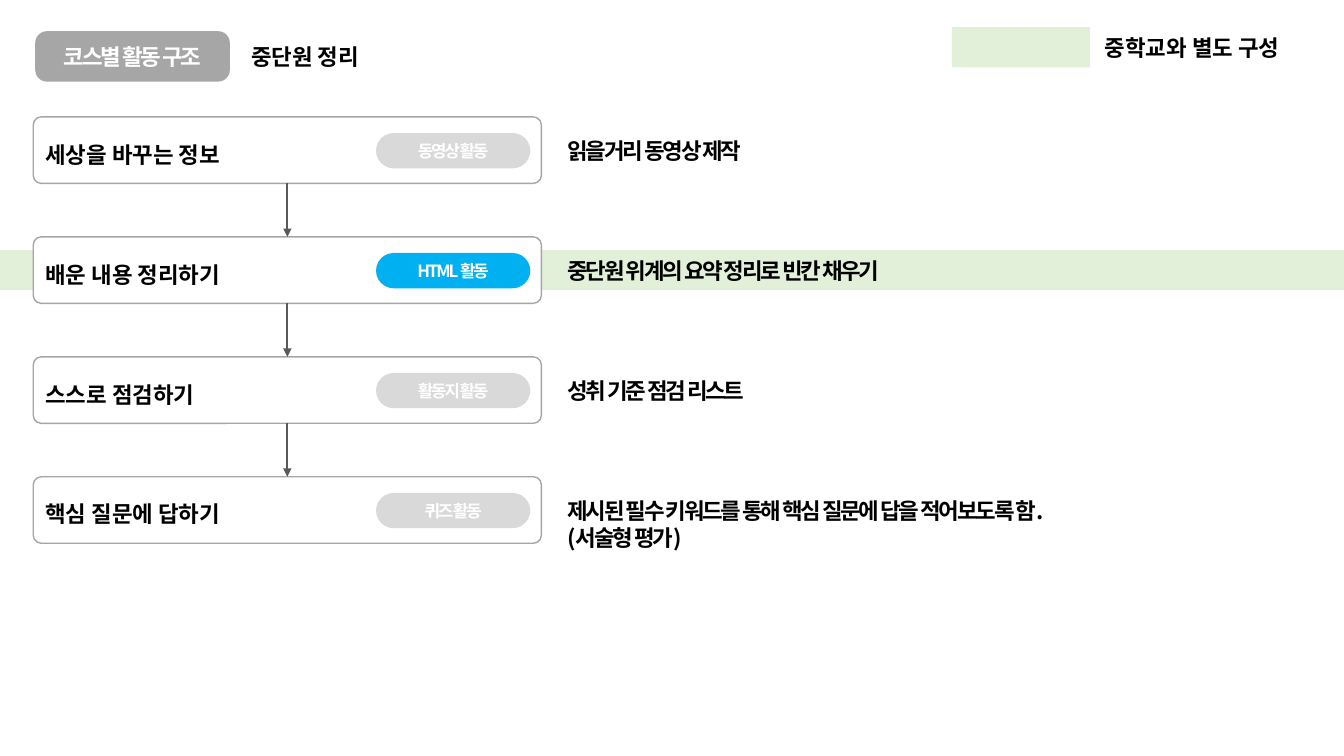
from lxml.etree import SubElement
from pptx import Presentation
from pptx.dml.color import RGBColor
from pptx.enum.shapes import MSO_CONNECTOR, MSO_SHAPE
from pptx.enum.text import MSO_ANCHOR, MSO_AUTO_SIZE, PP_ALIGN
from pptx.oxml.ns import qn
from pptx.util import Inches, Pt

FONT = "Noto Sans CJK KR"
BLACK, WHITE, GRAY = "000000", "FFFFFF", "A6A6A6"
PALE_GRAY, DARK_GRAY, GREEN, BLUE = "D9D9D9", "595959", "E2F0D9", "00B0F0"
ROW_PITCH, BOX_HEIGHT = 1.19, 0.66
STEPS = [
    ("세상을 바꾸는 정보", "동영상 활동", "읽을거리 동영상 제작", False),
    ("배운 내용 정리하기", "HTML 활동", "중단원 위계의 요약 정리로 빈칸 채우기", True),
    ("스스로 점검하기", "활동지 활동", "성취 기준 점검 리스트", False),
    ("핵심 질문에 답하기", "퀴즈 활동",
     "제시된 필수 키워드를 통해 핵심 질문에 답을 적어보도록 함.\n(서술형 평가)", False),
]


def color(hex_string):
    """Return the colour for a hex string."""
    return RGBColor.from_string(hex_string)


def write(shape, text, size=16, fill=BLACK, align=PP_ALIGN.LEFT,
          anchor=MSO_ANCHOR.TOP, tracking=0, line_spacing=1.0):
    """Write bold text into a shape, one paragraph per line."""
    frame = shape.text_frame
    frame.word_wrap = True
    frame.auto_size = MSO_AUTO_SIZE.NONE
    frame.vertical_anchor = anchor
    frame.text = text
    for paragraph in frame.paragraphs:
        paragraph.alignment = align
        paragraph.line_spacing = line_spacing
        for run in paragraph.runs:
            run.font.size = Pt(size)
            run.font.bold = True
            run.font.name = FONT
            run.font.color.rgb = color(fill)
            properties = run._r.get_or_add_rPr()
            properties.set("spc", str(int(tracking * 100)))
            SubElement(properties, qn("a:ea"), typeface=FONT)


def add_box(slide, kind, box, fill=None, line=None, radius=None):
    """Add a flat preset shape in the given box."""
    shape = slide.shapes.add_shape(kind, *map(Inches, box))
    shape.shadow.inherit = False
    if radius is not None:
        shape.adjustments[0] = radius
    if fill:
        shape.fill.solid()
        shape.fill.fore_color.rgb = color(fill)
    else:
        shape.fill.background()
    if line:
        shape.line.color.rgb = color(line)
        shape.line.width = Pt(1)
    else:
        shape.line.fill.background()
    return shape


def add_label(slide, box, text, **formatting):
    """Add a text box in the given box."""
    write(slide.shapes.add_textbox(*map(Inches, box)), text, **formatting)


def add_badge(slide, box, text, fill, radius, size):
    """Add a filled rounded badge with white centred text."""
    badge = add_box(slide, MSO_SHAPE.ROUNDED_RECTANGLE, box, fill, radius=radius)
    write(badge, text, size=size, fill=WHITE, align=PP_ALIGN.CENTER,
          anchor=MSO_ANCHOR.MIDDLE, tracking=-1.5)


def add_arrow(slide, x, top, bottom):
    """Add a downward arrow between two steps."""
    arrow = slide.shapes.add_connector(
        MSO_CONNECTOR.STRAIGHT, Inches(x), Inches(top), Inches(x), Inches(bottom))
    arrow.line.color.rgb = color(DARK_GRAY)
    arrow.line.width = Pt(1.25)
    SubElement(arrow.line._get_or_add_ln(), qn("a:tailEnd"), type="triangle")
    SubElement(arrow._element.spPr, qn("a:effectLst"))


def add_header(slide, left, top):
    """Place the course badge and the slide title."""
    add_badge(slide, (left, top, 1.93, 0.5), "코스별 활동 구조", GRAY, 0.23, 16)
    title = slide.shapes.title
    title.left, title.top = Inches(left + 2.04), Inches(top + 0.07)
    title.width, title.height = Inches(5.29), Inches(0.37)
    write(title, "중단원 정리")


def add_legend(slide, left, top):
    """Place the key for the highlighted step."""
    add_box(slide, MSO_SHAPE.RECTANGLE, (left, top, 1.37, 0.4), GREEN)
    add_label(slide, (left + 1.42, top + 0.02, 2.24, 0.37), "중학교와 별도 구성")


def add_step(slide, left, top, name, activity, description, highlighted):
    """Place one step with its activity badge and description."""
    if highlighted:
        add_box(slide, MSO_SHAPE.RECTANGLE, (0, top + 0.13, 13.33, 0.4), GREEN)
    step = add_box(slide, MSO_SHAPE.ROUNDED_RECTANGLE, (left, top, 5.04, BOX_HEIGHT),
                   WHITE if highlighted else None, GRAY, 0.12)
    write(step, name, anchor=MSO_ANCHOR.MIDDLE, line_spacing=1.3)
    add_badge(slide, (left + 3.4, top + 0.16, 1.53, 0.35), activity,
              BLUE if highlighted else PALE_GRAY, 0.5, 12)
    height = 0.37 + 0.27 * description.count("\n")
    add_label(slide, (left + 5.2, top + 0.15, 6.5, height), description, tracking=-1.5)


def add_flow(slide, left, top):
    """Place the steps at an equal pitch and join them with arrows."""
    for index, step in enumerate(STEPS):
        row_top = top + index * ROW_PITCH
        add_step(slide, left, row_top, *step)
        if index:
            add_arrow(slide, left + 2.52, row_top - ROW_PITCH + BOX_HEIGHT, row_top)


def main():
    """Build and save the presentation."""
    presentation = Presentation()
    presentation.slide_width, presentation.slide_height = Inches(13.33), Inches(7.5)
    slide = presentation.slides.add_slide(presentation.slide_layouts[5])
    add_header(slide, 0.35, 0.31)
    add_flow(slide, 0.33, 1.16)
    add_legend(slide, 9.44, 0.27)
    presentation.save("out.pptx")


if __name__ == "__main__":
    main()
